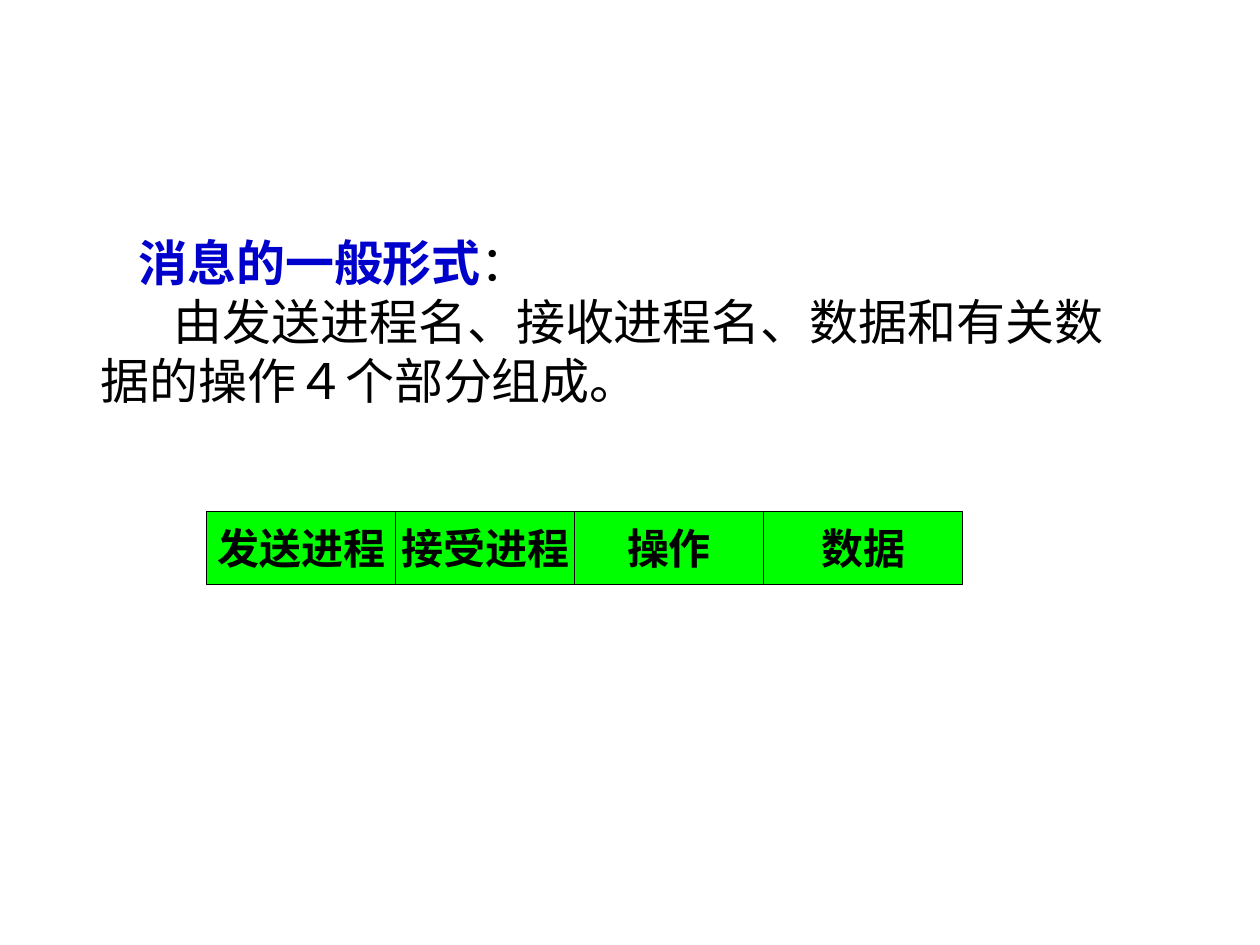
import pptx
import pptx.dml.color
import pptx.enum.shapes
import pptx.enum.text
import pptx.oxml
import pptx.oxml.ns
import pptx.util

Inches = pptx.util.Inches


def color(value):
    return pptx.dml.color.RGBColor.from_string(value)


def add_run(paragraph, text, font="Times New Roman", east_asian="Noto Sans CJK SC",
            size=28, fill="000000", bold=False):
    run = paragraph.add_run()
    run.text = text
    run.font.name = font
    run.font.size = pptx.util.Pt(size)
    run.font.bold = bold
    run.font.color.rgb = color(fill)
    namespace = pptx.oxml.ns.nsdecls("a")
    run.font._element.find(pptx.oxml.ns.qn("a:latin")).addnext(
        pptx.oxml.parse_xml(f'<a:ea {namespace} typeface="{east_asian}"/>'))
    return run


class MessageSlide:
    heading_color = "0000CC"
    cell_fill = "00FF00"
    line_color = "000000"

    def __init__(self, presentation):
        self.slide = presentation.slides.add_slide(presentation.slide_layouts[6])

    def add_text(self, left, top, width, height, paragraphs):
        box = self.slide.shapes.add_textbox(
            Inches(left), Inches(top), Inches(width), Inches(height))
        frame = box.text_frame
        frame.word_wrap = True
        for index, (indent, runs) in enumerate(paragraphs):
            paragraph = frame.add_paragraph() if index else frame.paragraphs[0]
            paragraph._p.get_or_add_pPr().set("indent", str(Inches(indent)))
            for text, style in runs:
                add_run(paragraph, text, **style)

    def add_cell(self, group, left, top, width, height, text):
        shape = group.shapes.add_shape(
            pptx.enum.shapes.MSO_SHAPE.RECTANGLE,
            Inches(left), Inches(top), Inches(width), Inches(height))
        shape.shadow.inherit = False
        shape.fill.solid()
        shape.fill.fore_color.rgb = color(self.cell_fill)
        shape.line.color.rgb = color(self.line_color)
        shape.line.width = pptx.util.Pt(0.75)
        frame = shape.text_frame
        frame.word_wrap = False
        frame.vertical_anchor = pptx.enum.text.MSO_ANCHOR.MIDDLE
        paragraph = frame.paragraphs[0]
        paragraph.alignment = pptx.enum.text.PP_ALIGN.CENTER
        add_run(paragraph, text, font="Arial", size=24, bold=True)

    def add_message_row(self, left, top, height, fields):
        group = self.slide.shapes.add_group_shape()
        for text, width in fields:
            self.add_cell(group, left, top, width, height, text)
            left += width


def main():
    presentation = pptx.Presentation()
    presentation.slide_width = Inches(10)
    presentation.slide_height = Inches(7.5)
    message = MessageSlide(presentation)
    heading = {"fill": message.heading_color, "bold": True}
    message.add_text(0.7, 1.8, 8.2, 1.5, [
        (0.3, [("消息的一般形式", heading), ("：", {})]),
        (0.58, [("由发送进程名、接收进程名、数据和有关数据的操作４个部分组成。", {})]),
    ])
    message.add_message_row(1.64, 4.06, 0.58, [
        ("发送进程", 1.5), ("接受进程", 1.42), ("操作", 1.5), ("数据", 1.58)])
    presentation.save("out.pptx")


if __name__ == "__main__":
    main()
